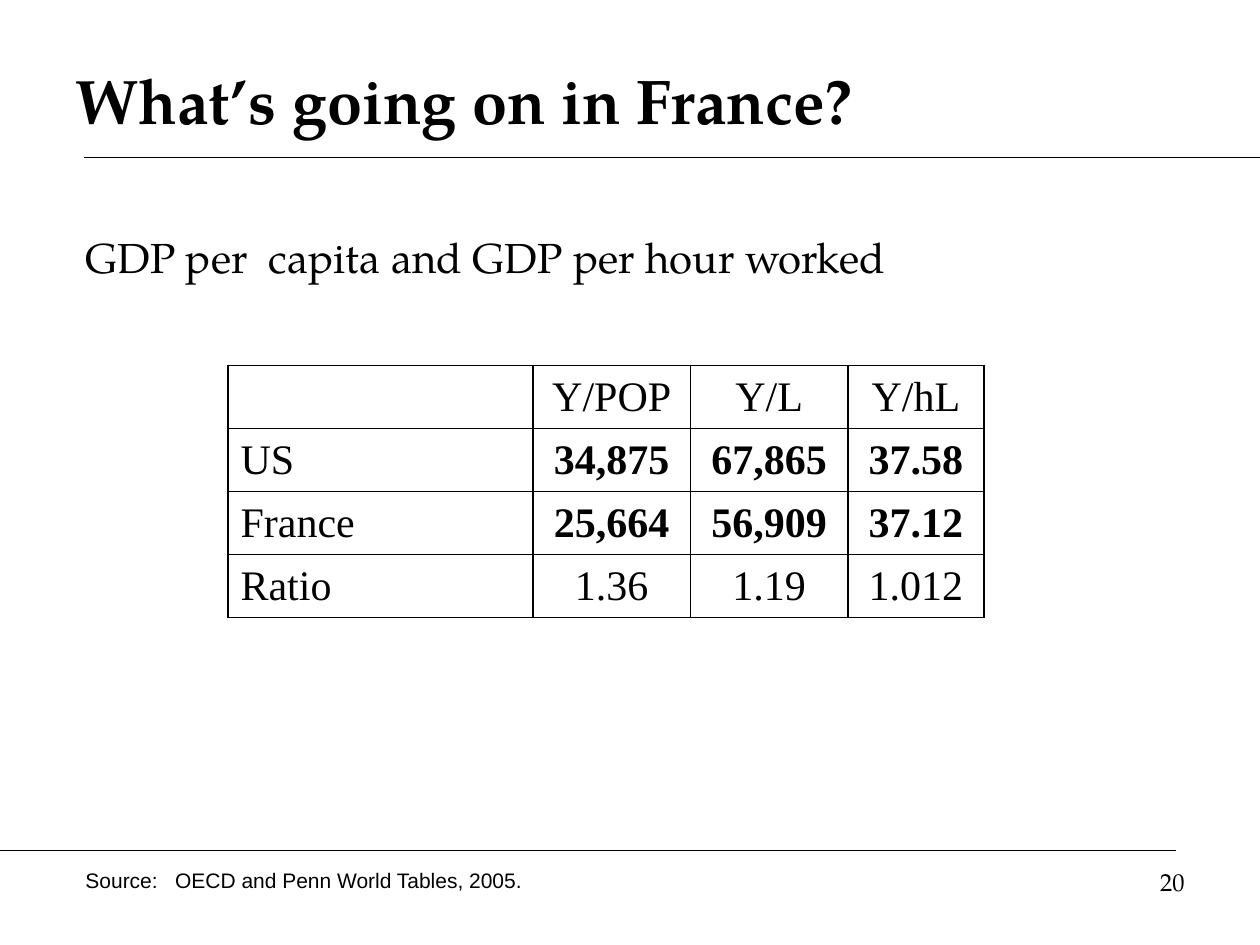
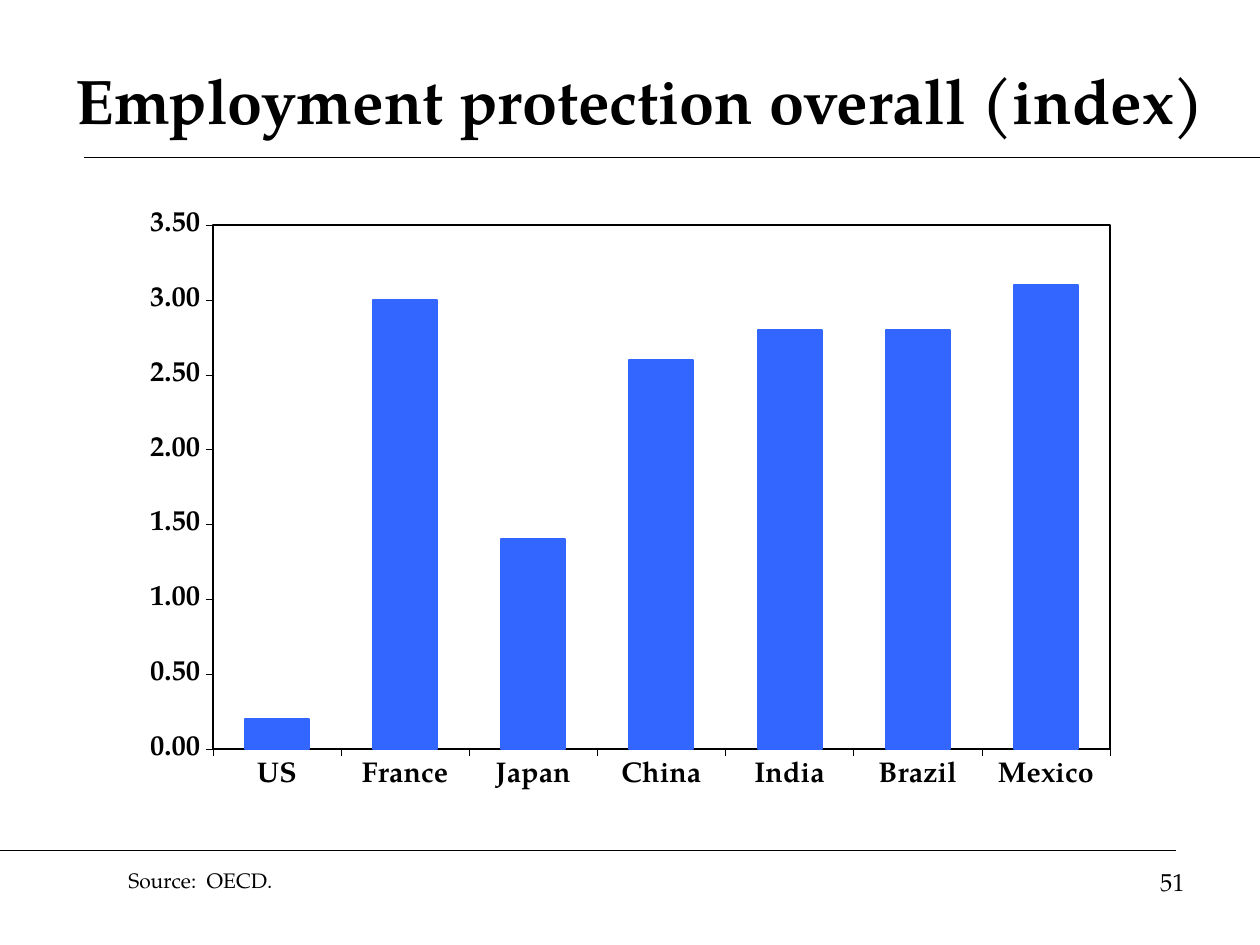
import pptx
import pptx.chart.data
import pptx.dml.color
import pptx.enum.chart
import pptx.enum.shapes
import pptx.enum.text
import pptx.oxml
import pptx.oxml.ns
import pptx.util
from pptx.util import Inches

BLACK = pptx.dml.color.RGBColor(0x00, 0x00, 0x00)
BAR_BLUE = pptx.dml.color.RGBColor(0x33, 0x66, 0xFF)
SERIF = "TeX Gyre Pagella"
SANS = "Arial"
TABLE_FONT = "Times New Roman"
LEFT = pptx.enum.text.PP_ALIGN.LEFT
CENTER = pptx.enum.text.PP_ALIGN.CENTER
RIGHT = pptx.enum.text.PP_ALIGN.RIGHT
MIDDLE = pptx.enum.text.MSO_ANCHOR.MIDDLE
TITLE_RULE_TOP = 1.25
FOOTER_RULE_TOP = 6.75


def format_font(font, name, size, bold=False):
    font.name = name
    font.size = pptx.util.Pt(size)
    font.bold = bold
    font.color.rgb = BLACK


def format_line(line, color, width):
    line.color.rgb = color
    line.width = pptx.util.Pt(width)


def xml(tag, content, attributes=""):
    namespaces = pptx.oxml.ns.nsdecls("a", "c")
    return pptx.oxml.parse_xml(f"<{tag} {namespaces} {attributes}>{content}</{tag}>")


class Deck:
    def __init__(self):
        self.presentation = pptx.Presentation()
        self.presentation.slide_width = Inches(10)
        self.presentation.slide_height = Inches(7.5)
        self.slide = None

    def add_slide(self, title, number, title_width=9):
        """Start a slide with its title, two rules and page number."""
        layout = self.presentation.slide_layouts.get_by_name("Title Only")
        self.slide = self.presentation.slides.add_slide(layout)
        self.add_rule(0.67, 10, TITLE_RULE_TOP)
        self.add_rule(0, 9.33, FOOTER_RULE_TOP)
        shape = self.slide.shapes.title
        shape.left, shape.top = Inches(0.5), Inches(0.33)
        shape.width, shape.height = Inches(title_width), Inches(0.92)
        frame = shape.text_frame
        frame.text = title
        frame.vertical_anchor = MIDDLE
        frame.auto_size = pptx.enum.text.MSO_AUTO_SIZE.NONE
        paragraph = frame.paragraphs[0]
        paragraph.alignment = LEFT
        format_font(paragraph.font, SERIF, 36, bold=True)
        self.add_text(str(number), 7.17, 6.83, 2.33, 0.52, size=14, alignment=RIGHT)

    def add_rule(self, start, end, top):
        straight = pptx.enum.shapes.MSO_CONNECTOR.STRAIGHT
        rule = self.slide.shapes.add_connector(
            straight, Inches(start), Inches(top), Inches(end), Inches(top))
        format_line(rule.line, BLACK, 0.75)
        rule._element.spPr.append(xml("a:effectLst", ""))

    def add_text(self, text, left, top, width, height, size, font=SERIF, alignment=LEFT):
        box = self.slide.shapes.add_textbox(
            Inches(left), Inches(top), Inches(width), Inches(height))
        frame = box.text_frame
        frame.word_wrap = True
        frame.text = text
        paragraph = frame.paragraphs[0]
        paragraph.alignment = alignment
        format_font(paragraph.font, font, size)

    def add_table(self, rows, left, top, column_widths, row_height, bold_rows):
        frame = self.slide.shapes.add_table(
            len(rows), len(column_widths), Inches(left), Inches(top),
            Inches(sum(column_widths)), Inches(row_height * len(rows)))
        table = frame.table
        table.first_row = table.horz_banding = False
        for column, width in zip(table.columns, column_widths):
            column.width = Inches(width)
        for row_index, row in enumerate(rows):
            for column_index, text in enumerate(row):
                cell = table.cell(row_index, column_index)
                cell.text = text
                cell.vertical_anchor = MIDDLE
                cell.fill.background()
                self.add_borders(cell)
                paragraph = cell.text_frame.paragraphs[0]
                paragraph.alignment = CENTER if column_index else LEFT
                bold = column_index > 0 and row_index in bold_rows
                format_font(paragraph.font, TABLE_FONT, 24, bold)

    def add_borders(self, cell):
        properties = cell._tc.get_or_add_tcPr()
        fill = f'<a:solidFill><a:srgbClr val="{BLACK}"/></a:solidFill>'
        for position, side in enumerate("LRTB"):
            width = f'w="{pptx.util.Pt(1)}"'
            properties.insert(position, xml(f"a:ln{side}", fill, width))

    def add_column_chart(self, values, left, top, width, height, plot):
        data = pptx.chart.data.CategoryChartData(number_format="#,##0.00")
        data.categories = list(values)
        data.add_series("Series 1", list(values.values()))
        chart = self.slide.shapes.add_chart(
            pptx.enum.chart.XL_CHART_TYPE.COLUMN_CLUSTERED,
            Inches(left), Inches(top), Inches(width), Inches(height), data).chart
        chart.has_legend = chart.has_title = False
        format_font(chart.font, TABLE_FONT, 21, bold=True)

        # Bars
        bars = chart.plots[0]
        bars.vary_by_categories = False
        bars.gap_width = 100
        series = bars.series[0]
        series.format.fill.solid()
        series.format.fill.fore_color.rgb = BAR_BLUE
        format_line(series.format.line, BAR_BLUE, 1.17)

        # Axes
        for axis in (chart.category_axis, chart.value_axis):
            axis.has_major_gridlines = False
            axis.major_tick_mark = pptx.enum.chart.XL_TICK_MARK.OUTSIDE
            axis.minor_tick_mark = pptx.enum.chart.XL_TICK_MARK.NONE
            format_font(axis.tick_labels.font, SERIF, 16.3, bold=True)
            format_line(axis.format.line, BLACK, 0.29)
        chart.value_axis.minimum_scale = 0
        chart.value_axis.maximum_scale = 3.5
        chart.value_axis.major_unit = 0.5
        chart.value_axis.tick_labels.number_format = "#,##0.00"
        chart.value_axis.tick_labels.number_format_is_linked = False

        # Framed plot area at a fixed place
        area = chart._chartSpace.chart.plotArea
        for layout in area.findall(pptx.oxml.ns.qn("c:layout")):
            area.remove(layout)
        settings = '<c:layoutTarget val="inner"/><c:xMode val="edge"/><c:yMode val="edge"/>'
        settings += "".join(
            f'<c:{name} val="{value}"/>' for name, value in zip("xywh", plot))
        area.insert(0, xml("c:layout", f"<c:manualLayout>{settings}</c:manualLayout>"))
        frame = f'<a:solidFill><a:srgbClr val="{BLACK}"/></a:solidFill>'
        area.append(xml(
            "c:spPr", f'<a:noFill/><a:ln w="{pptx.util.Pt(1.17)}">{frame}</a:ln>'))


def main():
    deck = Deck()

    # Output per person, per worker and per hour
    deck.add_slide("What’s going on in France?", 20)
    deck.add_text("GDP per  capita and GDP per hour worked", 0.58, 1.79, 8.58, 0.5, size=24)
    deck.add_table(
        [["", "Y/POP", "Y/L", "Y/hL"],
         ["US", "34,875", "67,865", "37.58"],
         ["France", "25,664", "56,909", "37.12"],
         ["Ratio", "1.36", "1.19", "1.012"]],
        1.81, 2.9, [2.42, 1.25, 1.25, 1.08], 0.5, bold_rows=(1, 2))
    deck.add_text("Source:   OECD and Penn World Tables, 2005.",
                  0.58, 6.84, 4.08, 0.3, size=12, font=SANS)

    # Employment protection by country
    deck.add_slide("Employment protection overall (index)", 51, title_width=9.17)
    deck.add_rule(1.25, 10, TITLE_RULE_TOP)
    deck.add_rule(0, 7.08, FOOTER_RULE_TOP)
    protection = {"US": 0.2, "France": 3, "Japan": 1.4, "China": 2.6,
                  "India": 2.8, "Brazil": 2.8, "Mexico": 3.1}
    deck.add_column_chart(protection, 0.89, 1.42, 8, 5.26,
                          plot=(0.1, 0.07, 0.89, 0.79))
    deck.add_text("Source:  OECD.", 0.92, 6.84, 6.83, 0.3, size=12)

    deck.presentation.save("out.pptx")


if __name__ == "__main__":
    main()
